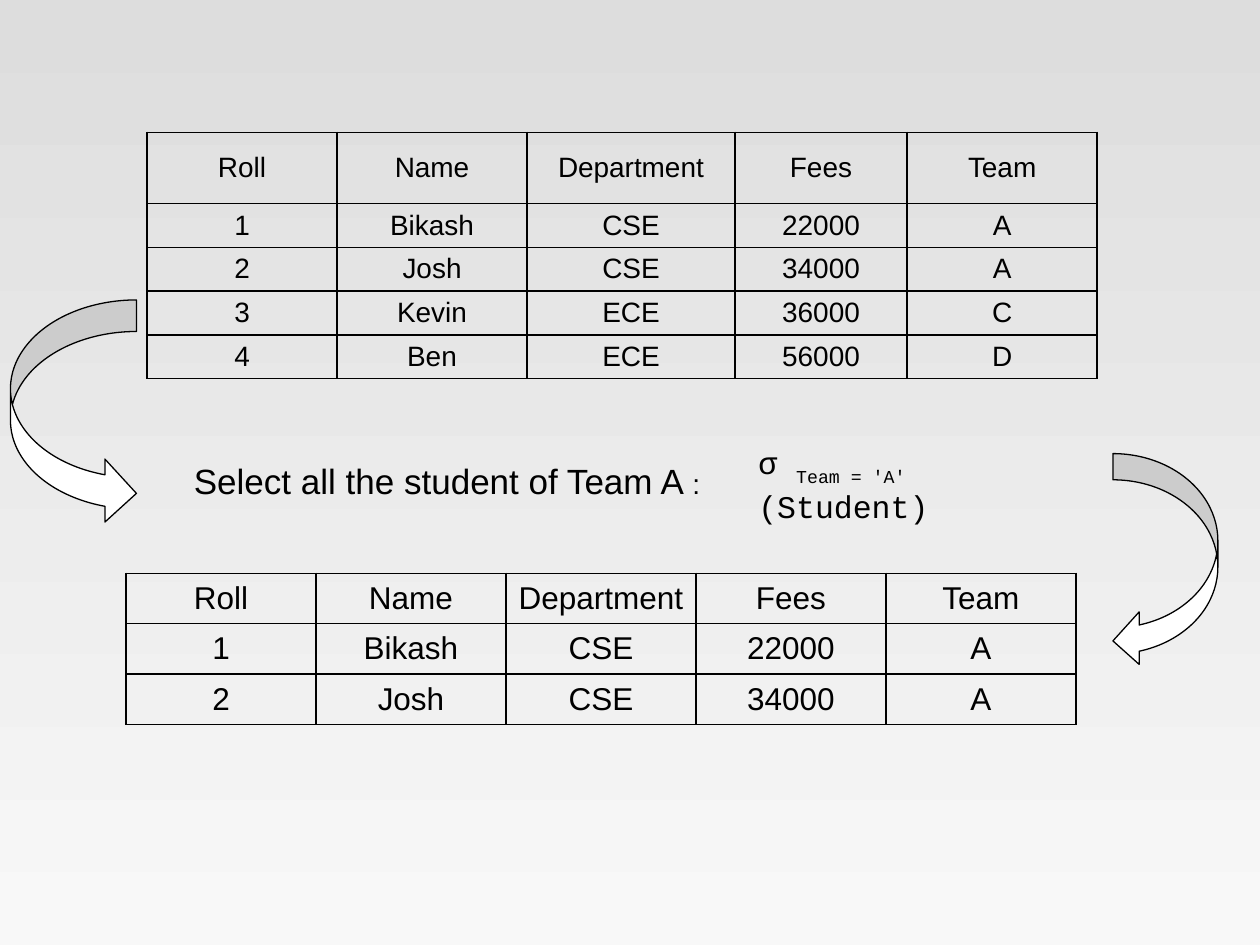
from dataclasses import dataclass

from lxml.etree import SubElement
from pptx import Presentation
from pptx.dml.color import RGBColor
from pptx.enum.shapes import MSO_SHAPE
from pptx.enum.text import MSO_ANCHOR, MSO_AUTO_SIZE, PP_ALIGN
from pptx.oxml.ns import qn
from pptx.util import Inches, Pt

SLIDE_WIDTH, SLIDE_HEIGHT = Inches(10), Inches(7.5)
BLACK, WHITE = "000000", "FFFFFF"


def across(percent):
    return round(SLIDE_WIDTH * percent / 100)


def down(percent):
    return round(SLIDE_HEIGHT * percent / 100)


def colour(value):
    return RGBColor.from_string(value)


@dataclass
class Area:
    """A place on the slide, in percent of its width and height."""
    left: float
    top: float
    width: float
    height: float

    def lengths(self):
        return across(self.left), down(self.top), across(self.width), down(self.height)


@dataclass
class Relation:
    left: float
    top: float
    columns: list[float]
    rows: list[float]
    size: int
    records: list[tuple]


@dataclass
class Span:
    text: str
    size: int
    baseline: int = 0


@dataclass
class Label:
    area: Area
    font: str
    spans: list[Span]
    anchor: MSO_ANCHOR
    wrap: bool


@dataclass
class Arrow:
    area: Area
    kind: MSO_SHAPE


def set_font(font, size: int, name: str):
    font.size, font.name = Pt(size), name
    font.color.rgb = colour(BLACK)


def add_borders(cell):
    properties = cell._tc.get_or_add_tcPr()
    for position, side in enumerate(("lnL", "lnR", "lnT", "lnB")):
        line = SubElement(properties, qn(f"a:{side}"), w=str(Pt(1)))
        fill = SubElement(line, qn("a:solidFill"))
        SubElement(fill, qn("a:srgbClr"), val=BLACK)
        properties.insert(position, line)


def add_relation(page, relation: Relation):
    area = Area(relation.left, relation.top, sum(relation.columns), sum(relation.rows))
    table = page.shapes.add_table(
        len(relation.rows), len(relation.columns), *area.lengths()).table
    table.first_row = table.horz_banding = False
    for column, width in zip(table.columns, relation.columns):
        column.width = across(width)
    for row, height, record in zip(table.rows, relation.rows, relation.records):
        row.height = down(height)
        for cell, value in zip(row.cells, record):
            cell.text = value
            cell.vertical_anchor = MSO_ANCHOR.MIDDLE
            cell.fill.background()
            add_borders(cell)
            para = cell.text_frame.paragraphs[0]
            para.alignment = PP_ALIGN.CENTER
            set_font(para.font, relation.size, "Arial")


def add_label(page, label: Label):
    frame = page.shapes.add_textbox(*label.area.lengths()).text_frame
    frame.word_wrap = label.wrap
    frame.auto_size = MSO_AUTO_SIZE.SHAPE_TO_FIT_TEXT
    frame.vertical_anchor = label.anchor
    para = frame.paragraphs[0]
    for part in label.spans:
        span = para.add_run()
        span.text = part.text
        set_font(span.font, part.size, label.font)
        if part.baseline:
            span._r.get_or_add_rPr().set("baseline", str(part.baseline * 1000))


def add_arrow(page, arrow: Arrow):
    shape = page.shapes.add_shape(arrow.kind, *arrow.area.lengths())
    shape.shadow.inherit = False
    shape.fill.solid()
    shape.fill.fore_color.rgb = colour(WHITE)
    shape.line.color.rgb = colour(BLACK)
    shape.line.width = Pt(0.75)
    for index, share in enumerate((0.25, 0.5, 0.25)):
        shape.adjustments[index] = share


# The selection keeps the heading and the students of team A
HEADING = ("Roll", "Name", "Department", "Fees", "Team")
STUDENTS = [
    ("1", "Bikash", "CSE", "22000", "A"),
    ("2", "Josh", "CSE", "34000", "A"),
    ("3", "Kevin", "ECE", "36000", "C"),
    ("4", "Ben", "ECE", "56000", "D"),
]
TEAM_A = [student for student in STUDENTS if student[-1] == "A"]

RELATIONS = [
    Relation(11.67, 14, [15.08, 15.08, 16.5, 13.67, 15.08], [7.55] + [4.63] * 4,
             16, [HEADING] + STUDENTS),
    Relation(10, 60.67, [15.08] * 5, [5.33] * 3, 18, [HEADING] + TEAM_A),
]
LABELS = [
    Label(Area(14.4, 48, 42.5, 5.83), "Arial",
          [Span("Select all the student of Team A ", 20), Span(":", 16)],
          MSO_ANCHOR.TOP, False),
    Label(Area(59.2, 48.53, 24.8, 5.33), "Courier New",
          [Span("σ ", 18), Span("Team = 'A'", 18, -30), Span(" (Student)", 18)],
          MSO_ANCHOR.MIDDLE, True),
]
ARROWS = [
    Arrow(Area(0.83, 31.75, 10, 23.8), MSO_SHAPE.CURVED_RIGHT_ARROW),
    Arrow(Area(88.33, 48, 8.33, 22.6), MSO_SHAPE.CURVED_LEFT_ARROW),
]


def main():
    deck = Presentation()
    deck.slide_width, deck.slide_height = SLIDE_WIDTH, SLIDE_HEIGHT
    page = deck.slides.add_slide(deck.slide_layouts[6])

    # Background shading from top to bottom
    backdrop = page.background.fill
    backdrop.gradient()
    backdrop.gradient_angle = 270
    for stop, value in zip(backdrop.gradient_stops, ("DDDDDD", "F8F8F8")):
        stop.color.rgb = colour(value)

    # Tables, the query between them, and the arrows
    for relation in RELATIONS:
        add_relation(page, relation)
    for label in LABELS:
        add_label(page, label)
    for arrow in ARROWS:
        add_arrow(page, arrow)
    deck.save("out.pptx")


if __name__ == "__main__":
    main()
